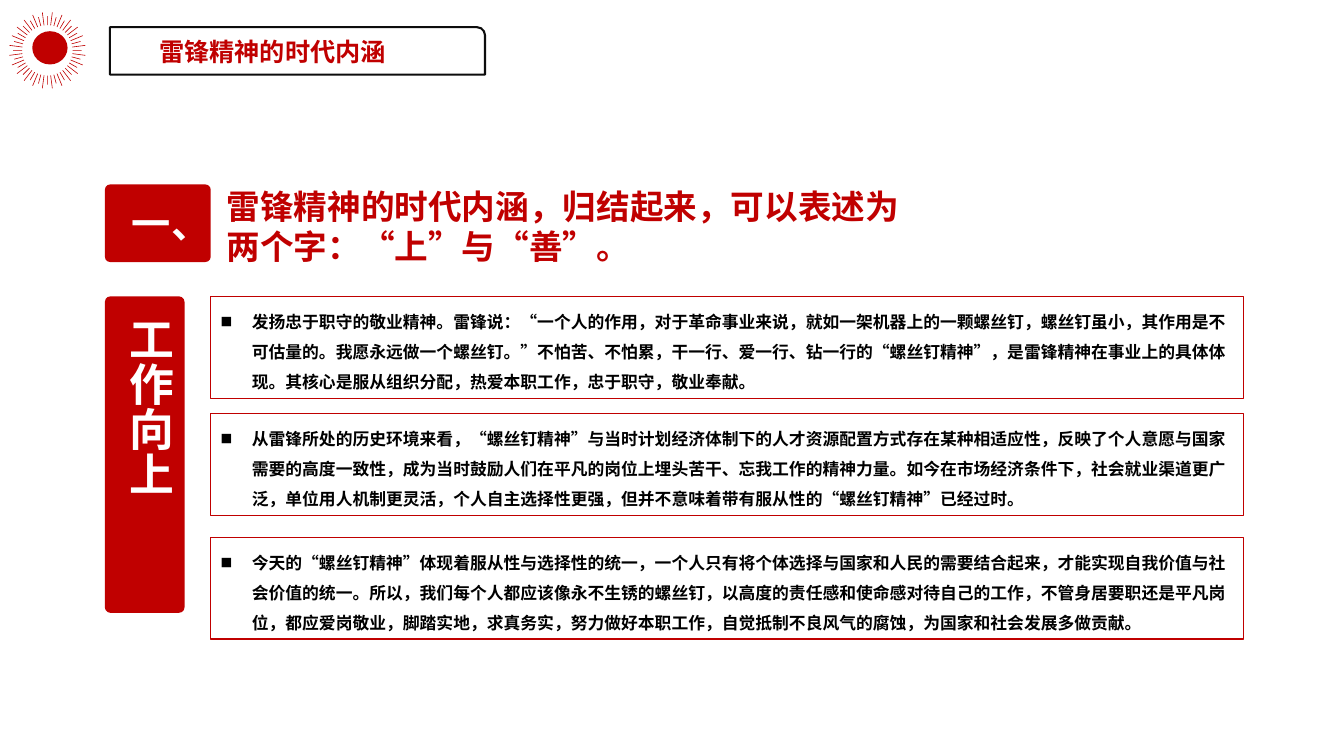
from math import cos, pi, sin

from lxml import etree
from pptx import Presentation
from pptx.dml.color import RGBColor
from pptx.enum.shapes import MSO_SHAPE
from pptx.enum.text import MSO_ANCHOR, MSO_AUTO_SIZE, PP_ALIGN
from pptx.oxml.ns import qn
from pptx.util import Inches, Pt

RECT, ROUNDED = MSO_SHAPE.RECTANGLE, MSO_SHAPE.ROUNDED_RECTANGLE
ONE_ROUND, OVAL = MSO_SHAPE.ROUND_1_RECTANGLE, MSO_SHAPE.OVAL
LEFT, JUSTIFY = PP_ALIGN.LEFT, PP_ALIGN.JUSTIFY
TOP, GROW = MSO_ANCHOR.TOP, MSO_AUTO_SIZE.SHAPE_TO_FIT_TEXT
COLORS = {"red": "C00000", "ink": "0D0D0D", "black": "000000", "white": "FFFFFF"}
FONT = "Noto Sans CJK SC"
CELL = Inches(0.1)  # the page is a grid of square cells

deck = Presentation()
deck.slide_width, deck.slide_height = Inches(13.33), Inches(7.5)
page = deck.slides.add_slide(deck.slide_layouts[6])


def add_panel(kind, area, fill=None, line=None, weight=0.75):
    panel = page.shapes.add_shape(kind, *[round(n * CELL) for n in area])
    panel.shadow.inherit = False
    if fill:
        panel.fill.solid()
        panel.fill.fore_color.rgb = RGBColor.from_string(COLORS[fill])
    else:
        panel.fill.background()
    if line:
        panel.line.color.rgb = RGBColor.from_string(COLORS[line])
        panel.line.width = Pt(weight)
    else:
        panel.line.fill.background()
    return panel


def write(box, text, size, color, align=LEFT, wrap=True):
    frame = box.text_frame
    frame.word_wrap = wrap
    frame.auto_size = GROW
    frame.vertical_anchor = TOP
    para = frame.paragraphs[0]
    para.alignment = align
    span = para.add_run()
    span.text = text
    span.font.size, span.font.bold, span.font.name = Pt(size), True, FONT
    span.font.color.rgb = RGBColor.from_string(COLORS[color])
    etree.SubElement(span.font._element, qn("a:ea"), typeface=FONT)
    return para


# Cards with bulleted text
cards = [
    (29.4, "发扬忠于职守的敬业精神。雷锋说：“一个人的作用，对于革命事业来说，就如一架机器上的一颗螺丝钉，螺丝钉虽小，其作用是不可估量的。我愿永远做一个螺丝钉。”不怕苦、不怕累，干一行、爱一行、钻一行的“螺丝钉精神”，是雷锋精神在事业上的具体体现。其核心是服从组织分配，热爱本职工作，忠于职守，敬业奉献。"),
    (41, "从雷锋所处的历史环境来看，“螺丝钉精神”与当时计划经济体制下的人才资源配置方式存在某种相适应性，反映了个人意愿与国家需要的高度一致性，成为当时鼓励人们在平凡的岗位上埋头苦干、忘我工作的精神力量。如今在市场经济条件下，社会就业渠道更广泛，单位用人机制更灵活，个人自主选择性更强，但并不意味着带有服从性的“螺丝钉精神”已经过时。"),
    (53.3, "今天的“螺丝钉精神”体现着服从性与选择性的统一，一个人只有将个体选择与国家和人民的需要结合起来，才能实现自我价值与社会价值的统一。所以，我们每个人都应该像永不生锈的螺丝钉，以高度的责任感和使命感对待自己的工作，不管身居要职还是平凡岗位，都应爱岗敬业，脚踏实地，求真务实，努力做好本职工作，自觉抵制不良风气的腐蚀，为国家和社会发展多做贡献。"),
]
for row, text in cards:
    card = add_panel(RECT, (20.9, row, 102.4, 10.1), line="red")
    para = write(card, text, 12, "black")
    para.line_spacing = 1.5
    props = para._p.get_or_add_pPr()
    props.set("marL", str(Inches(0.31)))
    props.set("indent", str(-Inches(0.31)))
    etree.SubElement(props, qn("a:buSzPct"), val="70000")
    etree.SubElement(props, qn("a:buFont"), typeface=FONT)
    etree.SubElement(props, qn("a:buChar"), char="■")

# Red blocks behind the number and the side label
for area in [(10.4, 29.4, 7.9, 31.4), (10.4, 18.3, 10.5, 7.7)]:
    add_panel(ROUNDED, area, fill="red").adjustments[0] = 0.07

# Title frame
add_panel(ONE_ROUND, (10.9, 2.7, 37.2, 4.7), line="ink", weight=1.5)

# Labels: area, text, size, colour, alignment, wrap, direction
labels = [
    ((10.7, 30.5, 7.4, 29.2), "工作向上", 32, "white", JUSTIFY, True, "eaVert"),
    ((21.5, 17.9, 71.9, 9.1), "雷锋精神的时代内涵，归结起来，可以表述为两个字：“上”与“善”。",
     24, "red", LEFT, True, "horz"),
    ((12.1, 19.3, 9.9, 5.7), "一、", 28, "white", LEFT, False, "horz"),
    ((14.8, 3.1, 29.1, 4), "雷锋精神的时代内涵", 18, "red", JUSTIFY, True, "horz"),
]
for area, text, size, color, align, wrap, direction in labels:
    label = page.shapes.add_textbox(*[round(n * CELL) for n in area])
    write(label, text, size, color, align, wrap)
    label.text_frame._txBody.bodyPr.set("vert", direction)

# Sunburst: thin rays, short and long in turn, around a plain disc
RAYS, INNER, SHORT, LONG, HALF_WIDTH = 48, 2.5, 3.4, 3.8, 0.03
center_x, center_y = 4.7, 5
outlines = []
for ray in range(RAYS):
    angle = 2 * pi * ray / RAYS
    outer = LONG if ray % 2 else SHORT
    corners = [(INNER, -HALF_WIDTH), (outer, -HALF_WIDTH),
               (outer, HALF_WIDTH), (INNER, HALF_WIDTH)]
    outlines.append([
        (round((center_x + along * cos(angle) - across * sin(angle)) * CELL),
         round((center_y + along * sin(angle) + across * cos(angle)) * CELL))
        for along, across in corners])
builder = page.shapes.build_freeform(*outlines[0][0])
builder.add_line_segments(outlines[0][1:])
for outline in outlines[1:]:
    builder.move_to(*outline[0])
    builder.add_line_segments(outline[1:])
sunburst = builder.convert_to_shape()
sunburst.shadow.inherit = False
sunburst.fill.solid()
sunburst.fill.fore_color.rgb = RGBColor.from_string(COLORS["red"])
sunburst.line.fill.background()
add_panel(OVAL, (3.2, 3.1, 3.5, 3.3), fill="red")

deck.save("out.pptx")
